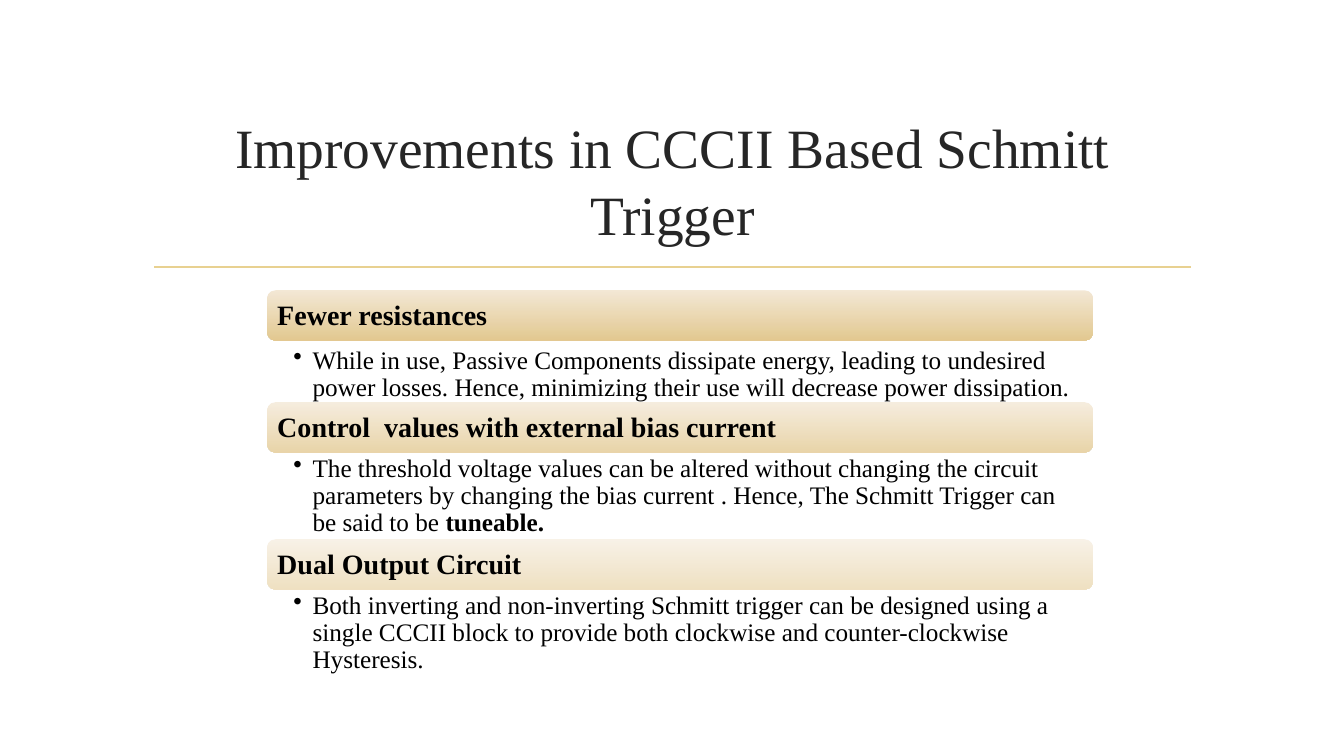
from lxml import etree
from pptx import Presentation
from pptx.dml.color import RGBColor
from pptx.enum.shapes import MSO_CONNECTOR, MSO_SHAPE
from pptx.enum.text import MSO_ANCHOR, PP_ALIGN
from pptx.oxml.ns import qn
from pptx.util import Inches, Pt

TITLE = "Improvements in CCCII Based Schmitt Trigger"
# heading, body runs as (text, bold), top of the bar, body height, bar opacity in %
SECTIONS = [
    ("Fewer resistances",
     [("While in use, Passive Components dissipate energy, leading to undesired power "
       "losses. Hence, minimizing their use will decrease power dissipation.", False)],
     2.88, 0.57, 90),
    ("Control  values with external bias current",
     [("The threshold voltage values can be altered without changing the circuit "
       "parameters by changing the bias current . Hence, The Schmitt Trigger can be "
       "said to be ", False), ("tuneable.", True)],
     3.99, 0.86, 70),
    ("Dual Output Circuit",
     [("Both inverting and non-inverting Schmitt trigger can be designed using a single "
       "CCCII block to provide both clockwise and counter-clockwise Hysteresis.", False)],
     5.35, 0.83, 50),
]
FONT = "Times New Roman"
COLORS = {"title": "262626", "text": "000000", "rule": "E8D191",
          "bar_top": "F2E6D1", "bar_bottom": "E0C385"}
LEFT, WIDTH, BAR_H = 2.65, 8.19, 0.5
BODY_TOPS = [3.42, 4.49, 5.85]


def rgb(name):
    return RGBColor.from_string(COLORS[name])


def add_text(slide, box, runs, size, color, insets, anchor=MSO_ANCHOR.TOP):
    """Add a wrapped one-paragraph box of (text, bold) runs; return the paragraph."""
    tf = slide.shapes.add_textbox(*map(Inches, box)).text_frame
    tf.word_wrap = True
    tf.vertical_anchor = anchor
    tf.margin_left, tf.margin_top, tf.margin_right, tf.margin_bottom = map(Inches, insets)
    p = tf.paragraphs[0]
    for text, bold in runs:
        r = p.add_run()
        r.text = text
        r.font.name, r.font.size, r.font.bold = FONT, Pt(size), bold
        r.font.color.rgb = rgb(color)
    return p


def add_bar(slide, top, opacity):
    sp = slide.shapes.add_shape(MSO_SHAPE.ROUNDED_RECTANGLE,
                                *map(Inches, (LEFT, top, WIDTH, BAR_H)))
    sp.shadow.inherit = False
    sp.line.fill.background()
    sp.fill.gradient()
    sp.fill.gradient_angle = 270
    for stop, name in zip(sp.fill.gradient_stops, ("bar_top", "bar_bottom")):
        stop.color.rgb = rgb(name)
    for clr in sp._element.spPr.iter(qn("a:srgbClr")):
        etree.SubElement(clr, qn("a:alpha"), val=str(opacity * 1000))


def add_bullet(p):
    pPr = p._p.get_or_add_pPr()
    pPr.set("marL", str(Inches(0.19)))
    pPr.set("indent", str(-Inches(0.19)))
    etree.SubElement(pPr, qn("a:buChar"), char="•")


def main():
    prs = Presentation()
    prs.slide_width, prs.slide_height = Inches(13.33), Inches(7.5)
    slide = prs.slides.add_slide(prs.slide_layouts[6])

    rule = slide.shapes.add_connector(MSO_CONNECTOR.STRAIGHT,
                                      *map(Inches, (1.53, 2.65, 11.81, 2.65)))
    rule.line.color.rgb = rgb("rule")
    rule.line.width = Pt(1.25)
    etree.SubElement(rule._element.spPr, qn("a:effectLst"))

    p = add_text(slide, (1.42, 1.07, 10.5, 1.43), [(TITLE, False)], 39.6, "title",
                 (0.1, 0.05, 0.1, 0.05), MSO_ANCHOR.MIDDLE)
    p.alignment = PP_ALIGN.CENTER

    for (heading, body, top, body_h, opacity), body_top in zip(SECTIONS, BODY_TOPS):
        add_bar(slide, top, opacity)
        p = add_text(slide, (LEFT + 0.02, top + 0.03, WIDTH - 0.05, 0.45),
                     [(heading, True)], 20, "text", [0.08] * 4, MSO_ANCHOR.MIDDLE)
        p.line_spacing = 0.9
        p = add_text(slide, (LEFT, body_top, WIDTH, body_h), body, 18, "text",
                     (0.26, 0.03, 0.18, 0.03))
        p.line_spacing = 0.9
        add_bullet(p)

    prs.save("out.pptx")


if __name__ == "__main__":
    main()
